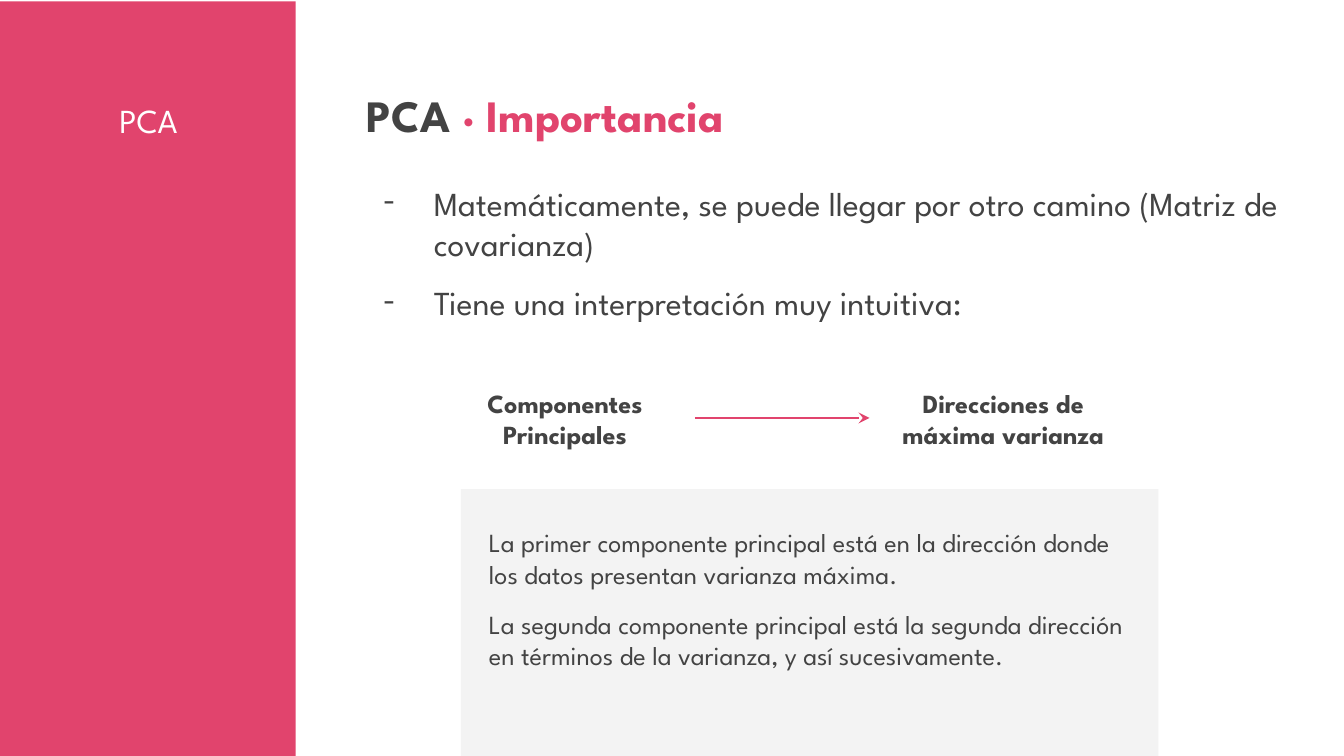
from dataclasses import dataclass

from pptx import Presentation
from pptx.dml.color import RGBColor
from pptx.enum.shapes import MSO_CONNECTOR as Connector, MSO_SHAPE as Shape
from pptx.enum.text import MSO_ANCHOR as Anchor, PP_ALIGN as Align
from pptx.oxml.ns import qn
from pptx.util import Inches, Pt
from lxml.etree import SubElement


@dataclass(frozen=True)
class Theme:
    """Colours, font and type sizes of the slide."""
    accent: str = "E1446D"
    ink: str = "434343"
    panel: str = "F3F3F3"
    white: str = "FFFFFF"
    font: str = "League Spartan"
    heading: int = 24
    body: int = 18
    note: int = 14
    gap: int = 10
    line: float = 0.75


class SlideBuilder:
    """Draws styled elements on a square grid, 100 columns wide."""

    def __init__(self, presentation, theme):
        self.theme = theme
        self.unit = presentation.slide_width / 100
        self.slide = presentation.slides.add_slide(presentation.slide_layouts[6])
        self.shapes = self.slide.shapes

    def place(self, *cells):
        """Turn columns and rows into slide lengths."""
        return [round(cell * self.unit) for cell in cells]

    def block(self, x, y, width, height, color):
        """Add a plain filled rectangle."""
        shape = self.shapes.add_shape(
            Shape.RECTANGLE, *self.place(x, y, width, height))
        shape.shadow.inherit = False
        shape.fill.solid()
        shape.fill.fore_color.rgb = RGBColor.from_string(color)
        shape.line.fill.background()

    def text(self, x, y, width, height, paragraphs, size, color=None,
             bold=False, align=Align.LEFT, gap=0, bullet=None):
        """Add a text box and return its text frame."""
        box = self.shapes.add_textbox(*self.place(x, y, width, height))
        frame = box.text_frame
        frame.word_wrap = True
        frame.vertical_anchor = Anchor.TOP
        frame.margin_left = frame.margin_right = Inches(0.1)
        frame.margin_top = frame.margin_bottom = Inches(0.1)
        frame.text = "\n".join(paragraphs)
        for index, paragraph in enumerate(frame.paragraphs):
            if bullet:
                self.bullet(paragraph, bullet)
            paragraph.alignment = align
            if index and gap:
                paragraph.space_before = paragraph.space_after = Pt(gap)
            for run in paragraph.runs:
                self.style(run, size, color or self.theme.ink, bold)
        return frame

    def style(self, run, size, color, bold):
        """Apply the theme font to a run."""
        run.font.name = self.theme.font
        run.font.size = Pt(size)
        run.font.bold = bold
        run.font.color.rgb = RGBColor.from_string(color)

    def bullet(self, paragraph, mark):
        """Give a paragraph a hanging bullet."""
        properties = paragraph._p.get_or_add_pPr()
        properties.set("marL", str(Inches(0.5)))
        properties.set("indent", str(-Inches(0.38)))
        color = SubElement(properties, qn("a:buClr"))
        SubElement(color, qn("a:srgbClr"), val=self.theme.ink)
        SubElement(properties, qn("a:buFont"), typeface=self.theme.font)
        SubElement(properties, qn("a:buChar"), char=mark)

    def arrow(self, start, end, y):
        """Add a horizontal arrow."""
        connector = self.shapes.add_connector(
            Connector.STRAIGHT, *self.place(start, y, end, y))
        connector.line.color.rgb = RGBColor.from_string(self.theme.accent)
        connector.line.width = Pt(self.theme.line)
        SubElement(connector.line._get_or_add_ln(), qn("a:tailEnd"), type="stealth")
        SubElement(connector._element.spPr, qn("a:effectLst"))


def main():
    """Build and save the slide."""
    presentation = Presentation()
    presentation.slide_width = Inches(10)
    presentation.slide_height = presentation.slide_width * 9 // 16
    theme = Theme()
    builder = SlideBuilder(presentation, theme)

    builder.block(0, 0.1, 22, 56.2, theme.accent)
    builder.block(34.3, 36.4, 51.9, 19.85, theme.panel)
    builder.text(3.2, 6.4, 15.7, 16.6, ["PCA"], theme.body, theme.white,
                 align=Align.CENTER)

    heading = builder.text(26.3, 5.5, 80.2, 6.4, ["PCA"], theme.heading, bold=True)
    topic = heading.paragraphs[0].add_run()
    topic.text = " · Importancia"
    builder.style(topic, theme.heading, theme.accent, True)

    builder.text(26.3, 12.6, 72.4, 5.5, [
        "Matemáticamente, se puede llegar por otro camino (Matriz de covarianza)",
        "Tiene una interpretación muy intuitiva:",
    ], theme.body, gap=theme.gap, bullet="-")

    for x, width, label in (
        (32.4, 19.3, ["Componentes", "Principales"]),
        (64.7, 19.9, ["Direcciones de máxima varianza"]),
    ):
        builder.text(x, 27.8, width, 6.5, label, theme.note, bold=True,
                     align=Align.CENTER)
    builder.arrow(51.7, 64.7, 31.1)

    builder.text(35.4, 38.2, 49.3, 13.3, [
        "La primer componente principal está en la dirección donde los datos "
        "presentan varianza máxima.",
        "La segunda componente principal está la segunda dirección en términos "
        "de la varianza, y así sucesivamente.",
    ], theme.note, gap=theme.gap)

    presentation.save("out.pptx")


if __name__ == "__main__":
    main()
